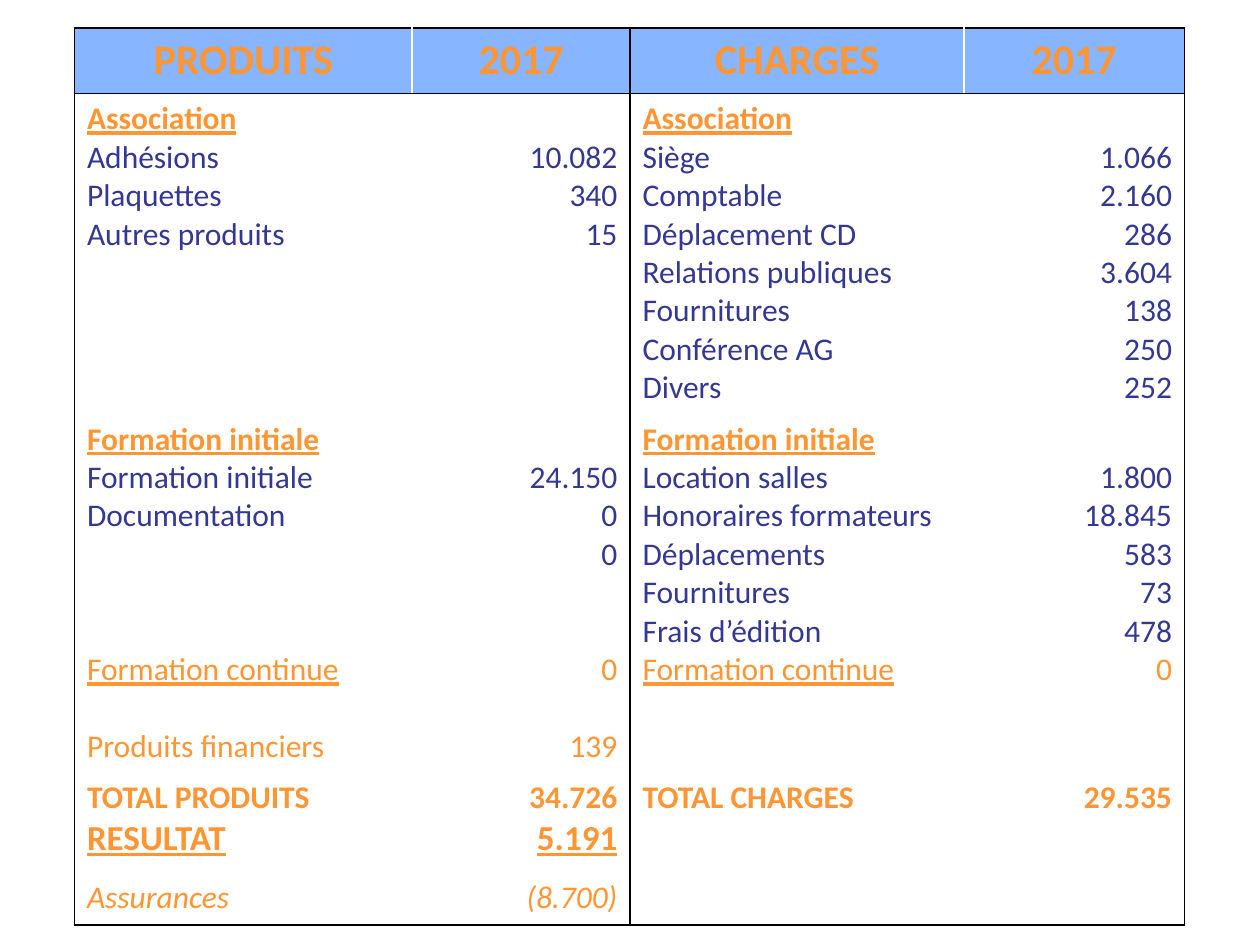
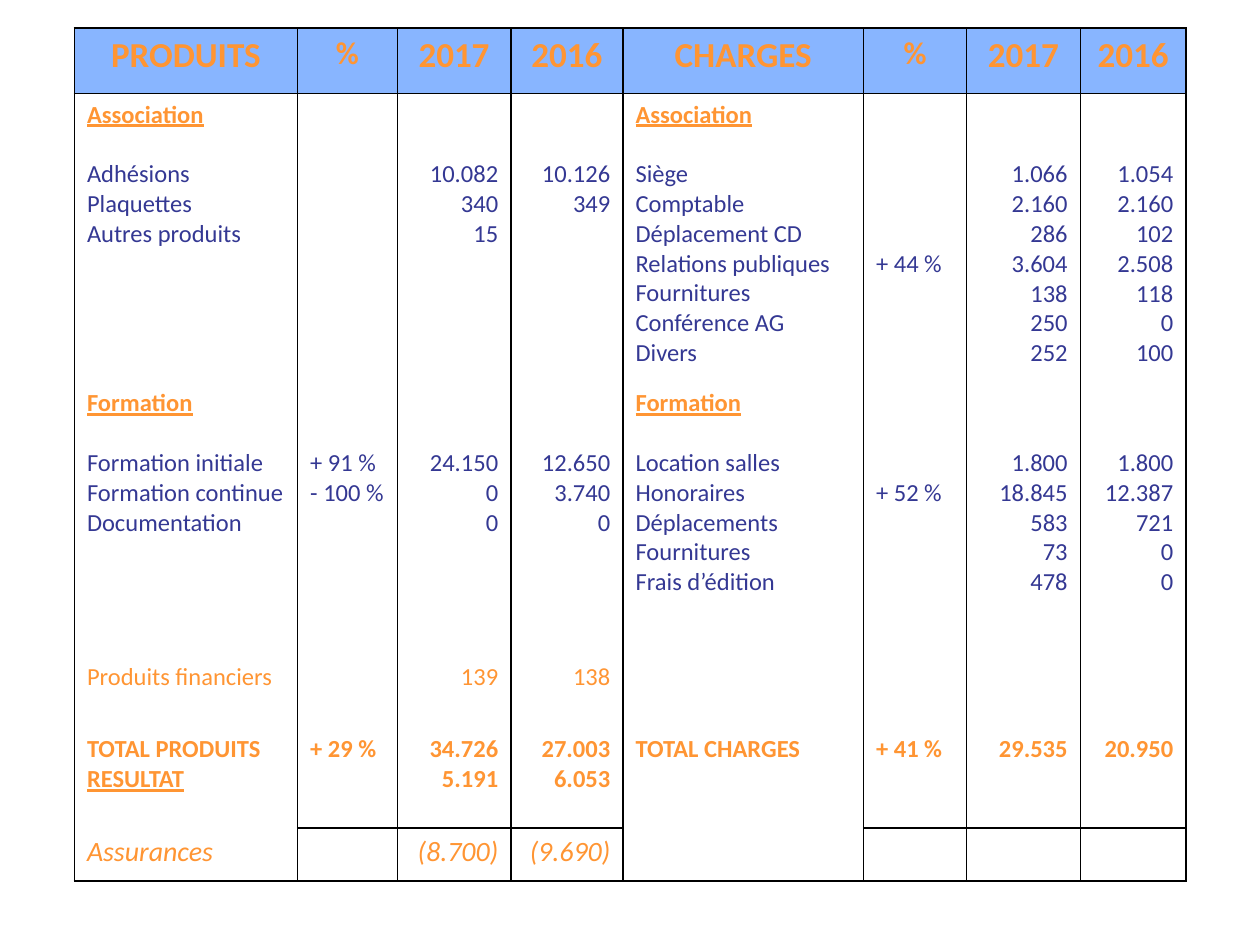
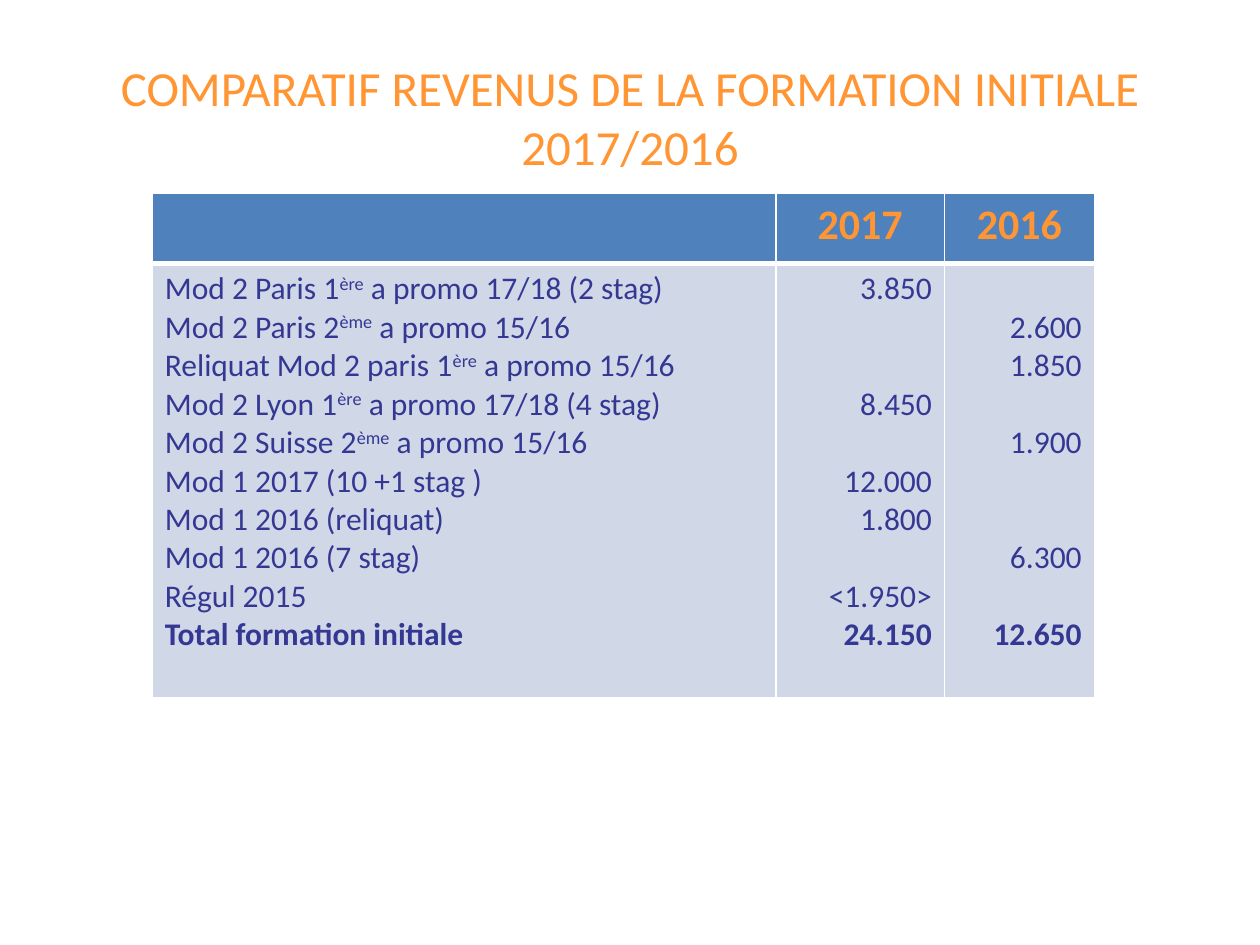
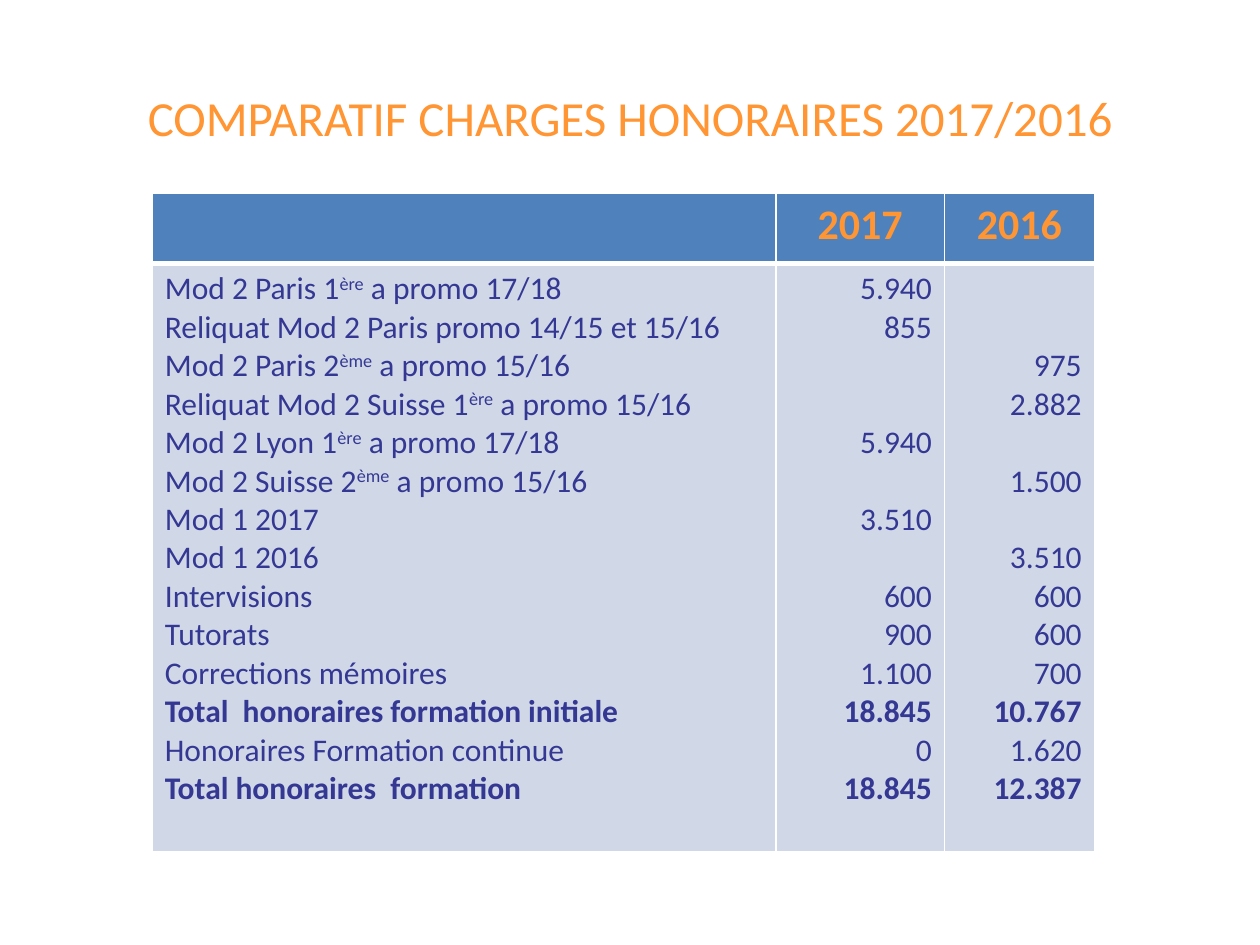
"""Build four slides of yearly accounts for a training association."""
from dataclasses import dataclass, field
from typing import NamedTuple, Optional

from lxml import etree
from pptx import Presentation
from pptx import util as u
from pptx.dml.color import RGBColor
from pptx.enum import text as t
from pptx.oxml import ns

ORANGE = RGBColor(0xFF, 0x95, 0x33)
NAVY = RGBColor(0x34, 0x38, 0x93)
SKY = RGBColor(0x88, 0xB5, 0xFF)
BLUE = RGBColor(0x4F, 0x81, 0xBD)
PALE = RGBColor(0xD0, 0xD8, 0xE8)
WHITE = RGBColor(0xFF, 0xFF, 0xFF)
BLACK = RGBColor(0, 0, 0)

FONT = "Calibri"
LEADING = 1.22
ALIGN = {"l": t.PP_ALIGN.LEFT, "c": t.PP_ALIGN.CENTER, "r": t.PP_ALIGN.RIGHT}


class Look(NamedTuple):
    """Run format; under lists the alignments that get an underline."""
    size: float
    color: RGBColor = ORANGE
    bold: bool = False
    slant: bool = False
    under: str = ""


class Line(NamedTuple):
    """One text line across all columns; ^ toggles superscript."""
    look: Look
    texts: tuple[str, ...]


Group = list[Line]


@dataclass
class Sheet:
    """A ruled table; ups and cuts are the inked vertical and level lines."""
    left: float
    top: float
    cols: tuple[float, ...]
    rows: tuple[float, ...]
    aligns: str
    head: Look
    heads: tuple[str, ...]
    groups: list[Group]
    band: RGBColor
    body: RGBColor
    ink: RGBColor
    ups: set[int]
    cuts: dict[int, set[int]]
    thick: dict[int, float] = field(default_factory=dict)


def write(para, text: str, look: Look, align: str) -> None:
    """Fill a paragraph with formatted runs."""
    para.alignment = ALIGN[align]
    for index, piece in enumerate(text.split("^")):
        run = para.add_run()
        run.text = piece
        font = run.font
        font.name, font.size = FONT, u.Pt(look.size)
        font.bold, font.italic = look.bold, look.slant
        font.underline = align in look.under
        font.color.rgb = look.color
        if index % 2:
            run._r.get_or_add_rPr().set("baseline", "30000")


def fill_cell(cell, texts: list[tuple[str, Look]], align: str) -> None:
    """Write lines into a cell, turning empty ones into spacing."""
    gap, para = 0.0, None
    for text, look in texts:
        if not text:
            gap += LEADING * look.size
            continue
        if para is None:
            para = cell.text_frame.paragraphs[0]
            cell.margin_top = u.Cm(0.13) + u.Pt(gap)
        else:
            para = cell.text_frame.add_paragraph()
            para.space_before = u.Pt(gap)
        write(para, text, look, align)
        gap = 0.0


def rule(cell, side: str, color: Optional[RGBColor], width: float) -> None:
    """Draw one border of a cell, or clear it without a colour."""
    props = cell._tc.get_or_add_tcPr()
    edge = etree.SubElement(props, ns.qn(f"a:ln{side}"), w=str(u.Pt(width)))
    if color is None:
        etree.SubElement(edge, ns.qn("a:noFill"))
    else:
        solid = etree.SubElement(edge, ns.qn("a:solidFill"))
        etree.SubElement(solid, ns.qn("a:srgbClr"), val=str(color))


def frame(cell, sheet: Sheet, row: int, col: int) -> None:
    """Rule the four sides of a cell."""
    for side, place in (("L", col), ("R", col + 1)):
        rule(cell, side, sheet.ink if place in sheet.ups else WHITE, 1)
    for side, place in (("T", row), ("B", row + 1)):
        inked = col in sheet.cuts.get(place, set())
        rule(cell, side, sheet.ink if inked else None,
             sheet.thick.get(place, 1))


def draw_sheet(slide, sheet: Sheet) -> None:
    """Place a table on a slide."""
    grid = slide.shapes.add_table(
        len(sheet.rows), len(sheet.cols), u.Cm(sheet.left), u.Cm(sheet.top),
        u.Cm(sum(sheet.cols)), u.Cm(sum(sheet.rows))).table
    grid.horz_banding = False
    for col, width in enumerate(sheet.cols):
        grid.columns[col].width = u.Cm(width)
    for row, height in enumerate(sheet.rows):
        grid.rows[row].height = u.Cm(height)
        for col, align in enumerate(sheet.aligns):
            cell = grid.cell(row, col)
            frame(cell, sheet, row, col)
            cell.fill.solid()
            cell.fill.fore_color.rgb = sheet.body if row else sheet.band
            if row:
                lines = sheet.groups[row - 1]
                fill_cell(cell, [(x.texts[col], x.look) for x in lines], align)
            else:
                text = sheet.heads[col]
                look = SIGN if text == "%" else sheet.head
                fill_cell(cell, [(text, look)], "c")


def draw_title(slide, text: str) -> None:
    """Place a centred slide title."""
    box = slide.shapes.add_textbox(u.Cm(1.27), u.Cm(0.76), u.Cm(22.86), u.Cm(3.18))
    box.text_frame.word_wrap = True
    box.text_frame.vertical_anchor = t.MSO_ANCHOR.MIDDLE
    write(box.text_frame.paragraphs[0], text, Look(28), "c")


def line(look: Look, *texts: str) -> Line:
    """Make a line from loose texts."""
    return Line(look, texts)


def balance(cols: tuple[float, ...], rows: tuple[float, ...], aligns: str,
            size: float, heads: tuple[str, ...], groups: list[Group],
            ups: set[int], cuts: dict[int, set[int]]) -> Sheet:
    """Make a sheet of income beside costs."""
    every = set(range(len(cols)))
    return Sheet(1.5, 0.56, cols, rows, aligns, Look(size, bold=True), heads,
                 groups, SKY, WHITE, BLACK, ups,
                 {0: every, 1: every, len(rows): every} | cuts)


def compare(height: float, group: Group) -> Sheet:
    """Make a sheet that sets two years side by side."""
    every = {0, 1, 2}
    return Sheet(3.07, 3.89, (12.57, 3.4, 3.02), (1.42, height), "lrr",
                 Look(24, bold=True), ("", "2017", "2016"), [group],
                 BLUE, PALE, WHITE, {0, 1, 2, 3},
                 {0: every, 1: every, 2: every}, {1: 3})


SIGN = Look(18, bold=True)
ITEM = Look(18, NAVY)
SUM = Look(18, NAVY, bold=True)
TOPIC = Look(18, bold=True, under="l")
LINK = Look(18, under="l")
NOTE = Look(18)
TOTAL = Look(18, bold=True)
RESULT = Look(20, bold=True, under="lr")
ASIDE = Look(18, slant=True)

YEAR = balance(
    (6.81, 4.39, 6.73, 4.45), (1.32, 6.45, 7.23, 2.01, 1.07), "lrlr", 24,
    ("PRODUITS", "2017", "CHARGES", "2017"),
    [[line(TOPIC, "Association", "", "Association", ""),
      line(ITEM, "Adhésions", "10.082", "Siège", "1.066"),
      line(ITEM, "Plaquettes", "340", "Comptable", "2.160"),
      line(ITEM, "Autres produits", "15", "Déplacement CD", "286"),
      line(ITEM, "", "", "Relations publiques", "3.604"),
      line(ITEM, "", "", "Fournitures", "138"),
      line(ITEM, "", "", "Conférence AG", "250"),
      line(ITEM, "", "", "Divers", "252")],
     [line(TOPIC, "Formation initiale", "", "Formation initiale", ""),
      line(ITEM, "Formation initiale", "24.150", "Location salles", "1.800"),
      line(ITEM, "Documentation", "0", "Honoraires formateurs", "18.845"),
      line(ITEM, "", "0", "Déplacements", "583"),
      line(ITEM, "", "", "Fournitures", "73"),
      line(ITEM, "", "", "Frais d’édition", "478"),
      line(LINK, "Formation continue", "0", "Formation continue", "0"),
      line(NOTE, "", "", "", ""),
      line(NOTE, "Produits financiers", "139", "", "")],
     [line(TOTAL, "TOTAL PRODUITS", "34.726", "TOTAL CHARGES", "29.535"),
      line(RESULT, "RESULTAT", "5.191", "", "")],
     [line(ASIDE, "Assurances", "(8.700)", "", "")]],
    {0, 2, 4}, {})

ITEM_S, NOTE_S, TOTAL_S, TOPIC_S = (
    look._replace(size=14) for look in (ITEM, NOTE, TOTAL, TOPIC))
BLANK = line(ITEM_S, *[""] * 8)

YEARS = balance(
    (4.5, 2.01, 2.29, 2.26, 4.85, 2.08, 2.29, 2.13),
    (1.32, 5.82, 5.51, 1.47, 2.01, 1.07), "llrrllrr", 20,
    ("PRODUITS", "%", "2017", "2016", "CHARGES", "%", "2017", "2016"),
    [[line(TOPIC_S, "Association", "", "", "", "Association", "", "", ""),
      BLANK,
      line(ITEM_S, "Adhésions", "", "10.082", "10.126", "Siège", "", "1.066", "1.054"),
      line(ITEM_S, "Plaquettes", "", "340", "349", "Comptable", "", "2.160", "2.160"),
      line(ITEM_S, "Autres produits", "", "15", "", "Déplacement CD", "", "286", "102"),
      line(ITEM_S, "", "", "", "", "Relations publiques", "+ 44 %", "3.604", "2.508"),
      line(ITEM_S, "", "", "", "", "Fournitures", "", "138", "118"),
      line(ITEM_S, "", "", "", "", "Conférence AG", "", "250", "0"),
      line(ITEM_S, "", "", "", "", "Divers", "", "252", "100")],
     [line(TOPIC_S, "Formation", "", "", "", "Formation", "", "", ""),
      BLANK,
      line(ITEM_S, "Formation initiale", "+ 91 %", "24.150", "12.650",
           "Location salles", "", "1.800", "1.800"),
      line(ITEM_S, "Formation continue", "- 100 %", "0", "3.740",
           "Honoraires", "+ 52 %", "18.845", "12.387"),
      line(ITEM_S, "Documentation", "", "0", "0", "Déplacements", "", "583", "721"),
      line(ITEM_S, "", "", "", "", "Fournitures", "", "73", "0"),
      line(ITEM_S, "", "", "", "", "Frais d’édition", "", "478", "0")],
     [line(NOTE_S, "Produits financiers", "", "139", "138", "", "", "", "")],
     [line(TOTAL_S, "TOTAL PRODUITS", "+ 29 %", "34.726", "27.003",
           "TOTAL CHARGES", "+ 41 %", "29.535", "20.950"),
      line(TOPIC_S, "RESULTAT", "", "5.191", "6.053", "", "", "", "")],
     [line(ASIDE._replace(size=16), "Assurances", "", "(8.700)", "(9.690)",
           "", "", "", "")]],
    set(range(9)), {5: {1, 2, 3, 5, 6, 7}})

INCOME = compare(8.76, [
    line(ITEM, "Mod 2 Paris 1^ère^ a promo 17/18 (2 stag)", "3.850", ""),
    line(ITEM, "Mod 2 Paris 2^ème^ a promo 15/16", "", "2.600"),
    line(ITEM, "Reliquat Mod 2 paris 1^ère^ a promo 15/16", "", "1.850"),
    line(ITEM, "Mod 2 Lyon 1^ère^ a promo 17/18 (4 stag)", "8.450", ""),
    line(ITEM, "Mod 2 Suisse 2^ème^ a promo 15/16", "", "1.900"),
    line(ITEM, "Mod 1 2017 (10 +1 stag )", "12.000", ""),
    line(ITEM, "Mod 1 2016 (reliquat)", "1.800", ""),
    line(ITEM, "Mod 1 2016 (7 stag)", "", "6.300"),
    line(ITEM, "Régul 2015", "<1.950>", ""),
    line(SUM, "Total formation initiale", "24.150", "12.650")])

FEES = compare(11.86, [
    line(ITEM, "Mod 2 Paris 1^ère^ a promo 17/18", "5.940", ""),
    line(ITEM, "Reliquat Mod 2 Paris promo 14/15 et 15/16", "855", ""),
    line(ITEM, "Mod 2 Paris 2^ème^ a promo 15/16", "", "975"),
    line(ITEM, "Reliquat Mod 2 Suisse 1^ère^ a promo 15/16", "", "2.882"),
    line(ITEM, "Mod 2 Lyon 1^ère^ a promo 17/18", "5.940", ""),
    line(ITEM, "Mod 2 Suisse 2^ème^ a promo 15/16", "", "1.500"),
    line(ITEM, "Mod 1 2017", "3.510", ""),
    line(ITEM, "Mod 1 2016", "", "3.510"),
    line(ITEM, "Intervisions", "600", "600"),
    line(ITEM, "Tutorats", "900", "600"),
    line(ITEM, "Corrections mémoires", "1.100", "700"),
    line(SUM, "Total  honoraires formation initiale", "18.845", "10.767"),
    line(ITEM, "Honoraires Formation continue", "0", "1.620"),
    line(SUM, "Total honoraires  formation", "18.845", "12.387")])

SLIDES = [
    ("", YEAR),
    ("", YEARS),
    ("COMPARATIF REVENUS DE LA FORMATION INITIALE 2017/2016", INCOME),
    ("COMPARATIF CHARGES HONORAIRES 2017/2016", FEES),
]

deck = Presentation()
deck.slide_width, deck.slide_height = u.Cm(25.4), u.Cm(19.05)
for title, sheet in SLIDES:
    slide = deck.slides.add_slide(deck.slide_layouts[6])
    if title:
        draw_title(slide, title)
    draw_sheet(slide, sheet)
deck.save("out.pptx")
